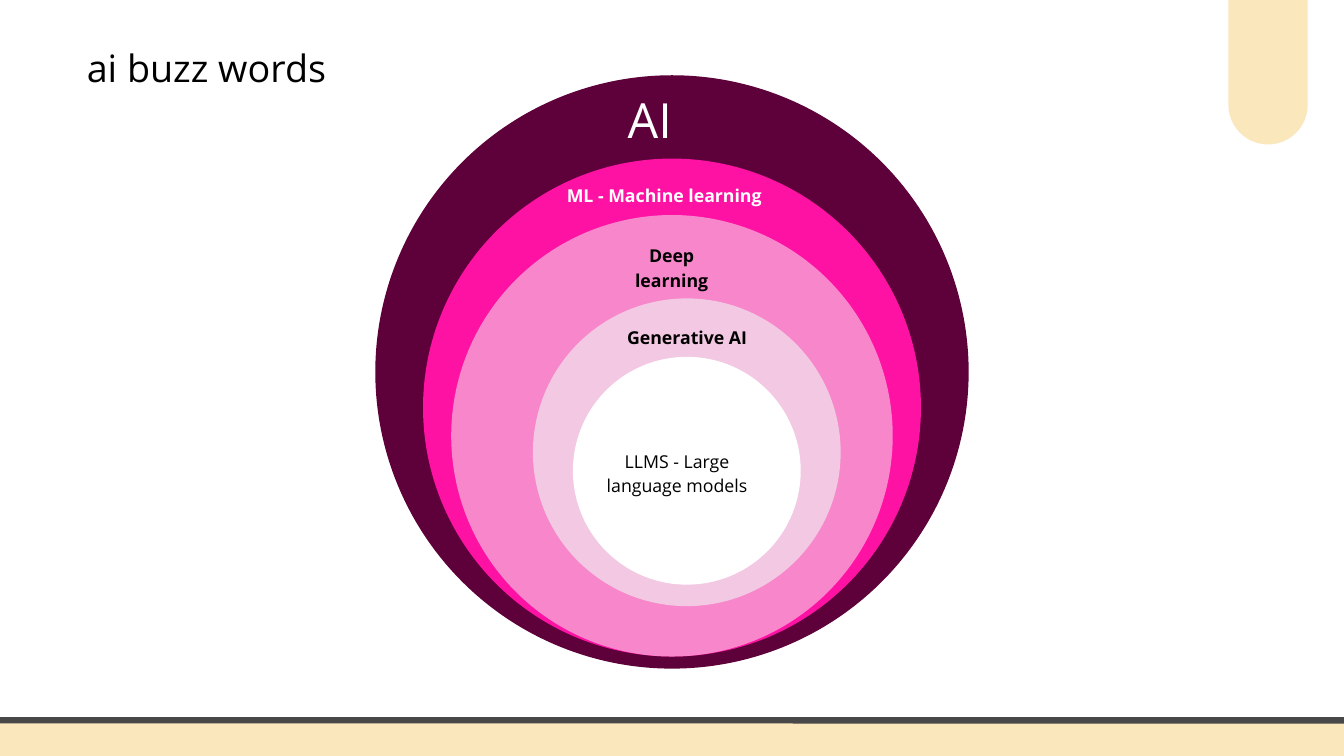
from pptx import Presentation, util as u
from pptx.dml.color import RGBColor
from pptx.enum import shapes, text

deck = Presentation()
deck.slide_width, deck.slide_height = u.Inches(20), u.Inches(11.25)
slide = deck.slides.add_slide(deck.slide_layouts[6])
kind = shapes.MSO_SHAPE


def add_form(form, box, fill):
    """Add a flat, unlined preset shape; box is left, top, width, height in inches."""
    shape = slide.shapes.add_shape(form, *map(u.Inches, box))
    shape.shadow.inherit = False
    shape.fill.solid()
    shape.fill.fore_color.rgb = RGBColor.from_string(fill)
    shape.line.fill.background()
    return shape


def add_label(words, box, size, lead, color="000000", bold=False):
    """Add centred text with a fixed line height (lead) in points."""
    label = slide.shapes.add_textbox(*map(u.Inches, box))
    frame = label.text_frame
    frame.word_wrap = True
    frame.margin_left = frame.margin_right = 0
    frame.margin_top = frame.margin_bottom = 0
    para = frame.paragraphs[0]
    para.text = words
    para.alignment = text.PP_ALIGN.CENTER
    para.line_spacing = u.Pt(lead)
    para.font.name = "Open Sans"
    para.font.size = u.Pt(size)
    para.font.bold = bold
    para.font.color.rgb = RGBColor.from_string(color)


# Cream tab and footer bar, bleeding off the edges
tab = add_form(kind.ROUNDED_RECTANGLE, (18.28, -1.08, 1.18, 3.23), "FAE7BC")
tab.adjustments[0] = 0.5
bar = add_form(kind.ROUNDED_RECTANGLE, (-0.58, 10.72, 21.16, 0.9), "FAE7BC")
bar.adjustments[0] = 0.1
bar.line.color.rgb = RGBColor.from_string("494848")
bar.line.width = u.Pt(6.75)

# Nested circles, from outer to inner: centre x, top, diameter, fill
rings = [
    (10, 1.12, 8.83, "5E003A"),
    (10, 2.36, 7.41, "FE12A3"),
    (10, 3.2, 6.57, "F786CB"),
    (10.22, 4.44, 4.58, "F2C8E2"),
    (10.22, 5.31, 3.39, "FFFFFF"),
]
for mid, top, size, fill in rings:
    add_form(kind.OVAL, (mid - size / 2, top, size, size), fill)

add_label("AI", (9.34, 1.2, 0.66, 0.96), 51.9, 72.6, "FFFFFF")
add_label("ML - Machine learning", (8.43, 2.7, 2.91, 0.35), 19, 26.6, "FFFFFF", True)
add_label("Deep learning", (9.08, 3.59, 1.83, 0.35), 19, 26.6, bold=True)
add_label("Generative AI", (9.33, 4.81, 1.79, 0.35), 19, 26.6, bold=True)
add_label("LLMS - Large language models", (8.79, 6.65, 2.57, 0.72), 19, 26.6)
add_label("ai buzz words", (1.29, 0.55, 3.57, 0.75), 40.4, 56.5)

deck.save("out.pptx")
